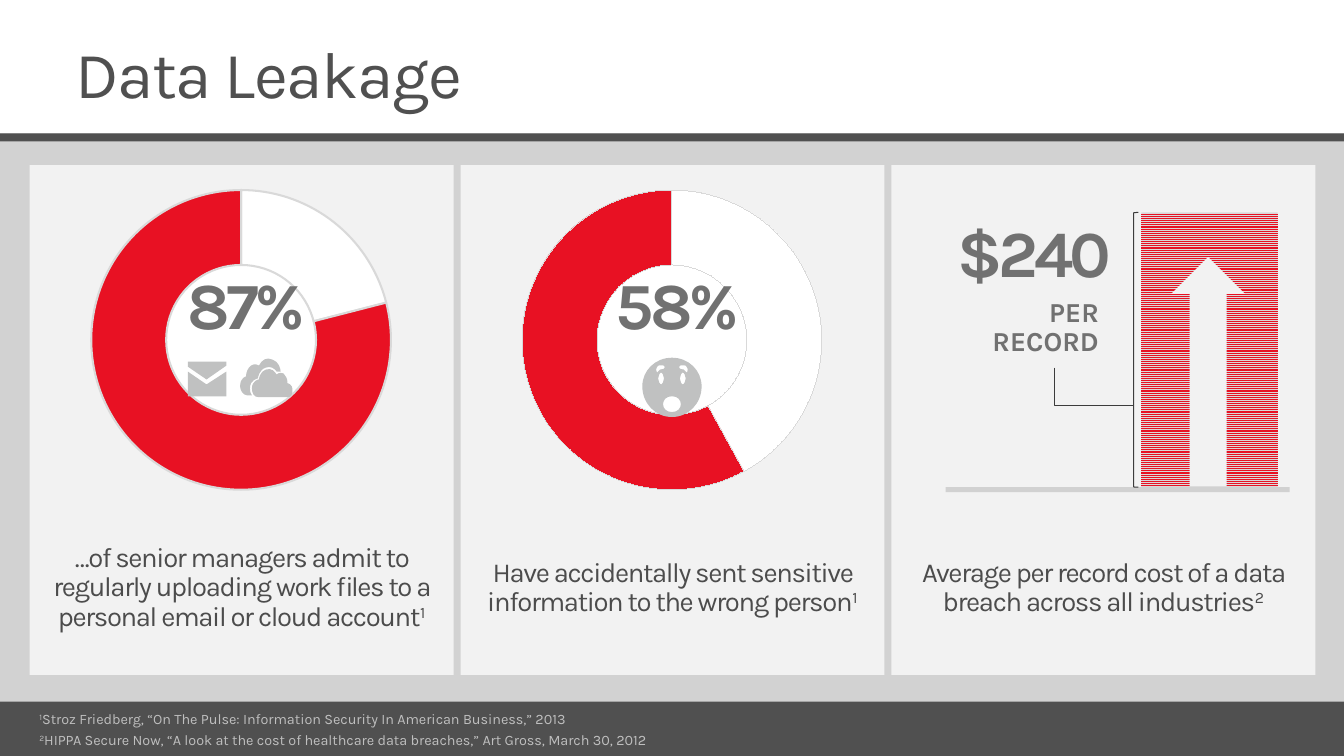
from dataclasses import dataclass
from lxml import etree
from pptx import Presentation
from pptx.chart.data import CategoryChartData
from pptx.dml.color import RGBColor
from pptx.enum.chart import XL_CHART_TYPE
from pptx.enum.dml import MSO_PATTERN
from pptx.enum.shapes import MSO_CONNECTOR, MSO_SHAPE
from pptx.enum.text import PP_ALIGN
from pptx.oxml import parse_xml
from pptx.oxml.ns import nsdecls, qn
from pptx.util import Inches, Pt


@dataclass(frozen=True)
class Theme:
    font: str = "Karla"
    white: RGBColor = RGBColor(0xFF, 0xFF, 0xFF)
    backdrop: RGBColor = RGBColor(0xD2, 0xD2, 0xD2)
    baseline: RGBColor = RGBColor(0xD1, 0xD1, 0xD1)
    dark: RGBColor = RGBColor(0x50, 0x50, 0x50)
    card: RGBColor = RGBColor(0xF2, 0xF2, 0xF2)
    red: RGBColor = RGBColor(0xE8, 0x11, 0x23)
    outline: RGBColor = RGBColor(0xD9, 0xD9, 0xD9)
    icon: RGBColor = RGBColor(0xC0, 0xC1, 0xC1)
    figure: RGBColor = RGBColor(0x71, 0x71, 0x71)
    body: RGBColor = RGBColor(0x4C, 0x4C, 0x4C)
    note: RGBColor = RGBColor(0xBF, 0xBF, 0xBF)
    bracket: RGBColor = RGBColor(0x3C, 0x3C, 0x3C)
    headline_size: float = 48
    body_size: float = 20
    chart_size: float = 10
    note_size: float = 10.5


theme = Theme()
prs = Presentation()
prs.slide_width, prs.slide_height = Inches(13.6), Inches(7.65)
slide = prs.slides.add_slide(prs.slide_layouts[6])
shapes = slide.shapes


def add_block(box, color, preset=MSO_SHAPE.RECTANGLE):
    block = shapes.add_shape(preset, *map(Inches, box))
    block.shadow.inherit = False
    block.line.fill.background()
    block.fill.solid()
    block.fill.fore_color.rgb = color
    return block


def add_text(box, parts, size, color, insets, align=PP_ALIGN.LEFT,
             spacing=0.9, after=0, bold=False, tracking=0):
    """Add one paragraph; parts made of digits only become superscripts."""
    frame = shapes.add_textbox(*map(Inches, box)).text_frame
    frame.word_wrap = True
    frame.margin_left = frame.margin_right = Inches(insets[0])
    frame.margin_top = frame.margin_bottom = Inches(insets[1])
    paragraph = frame.paragraphs[0]
    paragraph.alignment, paragraph.line_spacing = align, spacing
    paragraph.space_after = Pt(after)
    for part in parts:
        run = paragraph.add_run()
        run.text = part
        run.font.name, run.font.size, run.font.bold = theme.font, Pt(size), bold
        run.font.color.rgb = color
        properties = run._r.get_or_add_rPr()
        if tracking:
            properties.set("spc", str(tracking * 100))
        if part.isdigit():
            properties.set("baseline", "30000")


# Page bands, title and sources
add_block((0, 1.35, 13.6, 6), theme.backdrop)
add_block((0, 7.1, 13.6, 0.55), theme.dark)
add_block((0, 1.35, 13.6, 0.08), theme.dark)
add_text((0.6, 0.32, 13, 1), ["Data Leakage"], theme.headline_size, theme.dark,
         (0.16, 0.1), tracking=-1)
sources = [
    "Stroz Friedberg, “On The Pulse: Information Security In American Business,” 2013",
    "HIPPA Secure Now, “A look at the cost of healthcare data breaches,” Art Gross, March 30, 2012",
]
for number, source in enumerate(sources, 1):
    add_text((0.3, 6.93 + 0.21 * number, 8.05, 0.29), [str(number), source],
             theme.note_size, theme.note, (0.1, 0.05), spacing=1)

# Three cards with their captions
card_lefts = [0.3 + 4.36 * i for i in range(3)]
captions = [
    ("…of senior managers admit to regularly uploading work files to a personal email or cloud account",
     "1", 5.3, 1.31, 4.06),
    ("Have accidentally sent sensitive information to the wrong person", "1", 5.45, 1.01, 4.06),
    ("Average per record cost of a data breach across all industries", "2", 5.45, 1.01, 3.78),
]
for left, (caption, reference, top, height, width) in zip(card_lefts, captions):
    add_block((left, 1.67, 4.29, 5.16), theme.card)
    add_text((left + (4.29 - width) / 2, top, width, height), [caption, reference],
             theme.body_size, theme.body, (0, 0.2), PP_ALIGN.CENTER, after=6, tracking=-1)

# Doughnuts with their percentages
doughnuts = [((21, 79), 1.5, "87%"), ((42, 58), 0, "58%")]
for left, (values, line_width, percentage) in zip(card_lefts, doughnuts):
    add_block((left + 1.13, 2.15, 2.02, 2.52), theme.white, MSO_SHAPE.OVAL)
    data = CategoryChartData()
    data.categories = ["1", "2"]
    data.add_series("Series 1", values)
    chart = shapes.add_chart(XL_CHART_TYPE.DOUGHNUT, Inches(left + 0.22), Inches(1.79),
                             Inches(3.84), Inches(3.3), data).chart
    chart.has_legend = chart.has_title = False
    chart.font.name, chart.font.size = theme.font, Pt(theme.chart_size)
    chart.font.color.rgb = theme.dark
    plot = chart.plots[0]
    plot.vary_by_categories = False
    for i, color in enumerate((theme.white, theme.red)):
        slice_format = plot.series[0].points[i].format
        slice_format.fill.solid()
        slice_format.fill.fore_color.rgb = color
        slice_format.line.color.rgb = theme.outline
        slice_format.line.width = Pt(line_width)
    plot_area = chart._chartSpace.chart.plotArea
    plot_area.find(".//" + qn("c:holeSize")).set("val", "70")
    for old_layout in plot_area.findall(qn("c:layout")):
        plot_area.remove(old_layout)
    plot_area.insert(0, parse_xml(
        f'<c:layout {nsdecls("c")}><c:manualLayout><c:layoutTarget val="inner"/>'
        '<c:xMode val="edge"/><c:yMode val="edge"/><c:x val="0.105"/><c:y val="0.04"/>'
        '<c:w val="0.79"/><c:h val="0.92"/></c:manualLayout></c:layout>'))
    add_text((left + 1.17, 2.6, 2.05, 1.05), [percentage], theme.headline_size,
             theme.figure, (0.2, 0.16), PP_ALIGN.CENTER, after=6, bold=True, tracking=-3)

# Icon contours; a curved one is a start point, then three points for each Bézier segment
head = [(6.8, 3.62), (6.63, 3.62), (6.5, 3.75), (6.5, 3.91), (6.5, 4.08), (6.63, 4.22),
        (6.8, 4.22), (6.97, 4.22), (7.1, 4.08), (7.1, 3.91), (7.1, 3.75), (6.97, 3.62),
        (6.8, 3.62)]
mouth = [(6.8, 4.17), (6.74, 4.17), (6.71, 4.13), (6.71, 4.09), (6.71, 4.05), (6.74, 4.01),
         (6.8, 4.01), (6.86, 4.01), (6.89, 4.05), (6.89, 4.09), (6.89, 4.13), (6.86, 4.17),
         (6.8, 4.17)]
left_eye = [(6.69, 3.89), (6.68, 3.89), (6.66, 3.86), (6.66, 3.83), (6.66, 3.8), (6.68, 3.77),
            (6.69, 3.77), (6.7, 3.77), (6.72, 3.8), (6.72, 3.83), (6.72, 3.86), (6.7, 3.89),
            (6.69, 3.89)]
left_brow = [(6.65, 3.77), (6.65, 3.77), (6.64, 3.76), (6.64, 3.74), (6.64, 3.73),
             (6.65, 3.71), (6.66, 3.7), (6.68, 3.69), (6.7, 3.7), (6.72, 3.7),
             (6.73, 3.71), (6.73, 3.72), (6.72, 3.73), (6.72, 3.74), (6.7, 3.73),
             (6.68, 3.74), (6.67, 3.75), (6.66, 3.76), (6.65, 3.77)]
right_eye, right_brow = ([(13.6 - x, y) for x, y in side] for side in (left_eye, left_brow))
front_cloud = [(2.91, 3.88), (2.91, 3.88), (2.96, 3.88), (2.96, 3.95), (2.96, 3.99),
               (2.95, 4.02), (2.91, 4.02), (2.91, 4.02), (2.64, 4.02), (2.62, 4.02),
               (2.57, 4.02), (2.55, 3.98), (2.55, 3.93), (2.55, 3.85), (2.62, 3.84),
               (2.62, 3.84), (2.62, 3.84), (2.63, 3.76), (2.69, 3.74), (2.75, 3.72),
               (2.78, 3.76), (2.8, 3.79), (2.8, 3.79), (2.83, 3.76), (2.87, 3.78),
               (2.89, 3.8), (2.91, 3.83), (2.91, 3.88)]
back_cloud = [(2.53, 3.93), (2.53, 3.84), (2.61, 3.83), (2.61, 3.83), (2.61, 3.83),
              (2.62, 3.74), (2.69, 3.72), (2.74, 3.7), (2.78, 3.73), (2.8, 3.76),
              (2.8, 3.76), (2.81, 3.76), (2.84, 3.76), (2.84, 3.73), (2.82, 3.66),
              (2.76, 3.64), (2.7, 3.61), (2.65, 3.64), (2.62, 3.7), (2.62, 3.7),
              (2.58, 3.67), (2.54, 3.7), (2.51, 3.72), (2.49, 3.77), (2.49, 3.81),
              (2.49, 3.81), (2.43, 3.82), (2.43, 3.91), (2.43, 3.95), (2.46, 4),
              (2.5, 4), (2.55, 4), (2.55, 4), (2.55, 4), (2.53, 3.97), (2.53, 3.95),
              (2.53, 3.93)]
envelope_body = [(2.29, 3.76), (2.29, 4.01), (1.9, 4.01), (1.9, 3.76), (2.09, 3.89)]
envelope_flap = [(1.9, 3.66), (2.29, 3.66), (2.29, 3.7), (2.09, 3.84), (1.9, 3.71)]
for contours, curved in [
    ([head, left_brow, left_eye, mouth, right_eye, right_brow], True),
    ([front_cloud, back_cloud], True),
    ([envelope_body, envelope_flap], False),
]:
    builder = shapes.build_freeform(*map(Inches, contours[0][0]))
    for contour in contours:
        start, *rest = [(Inches(x), Inches(y)) for x, y in contour]
        if contour is not contours[0]:
            builder.move_to(*start)
        builder.add_line_segments(rest, close=True)
    icon = builder.convert_to_shape()
    icon.shadow.inherit = False
    icon.line.fill.background()
    icon.fill.solid()
    icon.fill.fore_color.rgb = theme.icon
    segments = list(icon._element.iter(qn("a:lnTo"))) if curved else []
    for i in range(0, len(segments), 3):
        curve = etree.Element(qn("a:cubicBezTo"))
        segments[i].addprevious(curve)
        for segment in segments[i:i + 3]:
            curve.append(segment[0])
            segment.getparent().remove(segment)

# Cost per record
add_text((9.44, 2.07, 2.05, 1.05), ["$240"], theme.headline_size, theme.figure,
         (0.2, 0.16), PP_ALIGN.CENTER, after=6, bold=True, tracking=-3)
add_text((9.27, 2.86, 2.05, 0.93), ["PER RECORD"], theme.body_size, theme.figure,
         (0.2, 0.16), PP_ALIGN.RIGHT, after=6, bold=True)
cost_bar = add_block((11.55, 2.15, 1.38, 2.78), theme.red)
cost_bar.fill.patterned()
cost_bar.fill.pattern = MSO_PATTERN.NARROW_HORIZONTAL
cost_bar.fill.fore_color.rgb = theme.red
cost_bar.fill.back_color.rgb = theme.outline
add_block((11.85, 2.6, 0.75, 2.32), theme.card, MSO_SHAPE.UP_ARROW)
add_block((9.57, 4.93, 3.48, 0.05), theme.baseline)
bracket = add_block((11.47, 2.15, 0.05, 2.78), theme.card, MSO_SHAPE.LEFT_BRACKET)
bracket.fill.background()
leader = shapes.add_connector(MSO_CONNECTOR.ELBOW, Inches(10.67), Inches(3.72),
                              Inches(11.47), Inches(4.1))
for stroke in (bracket.line, leader.line):
    stroke.color.rgb = theme.bracket
    stroke.width = Pt(0.75)
leader_properties = leader._element.spPr
etree.SubElement(leader_properties, qn("a:effectLst"))
guides = leader_properties.find(".//" + qn("a:avLst"))
etree.SubElement(guides, qn("a:gd"), name="adj1", fmla="val 0")

prs.save("out.pptx")
